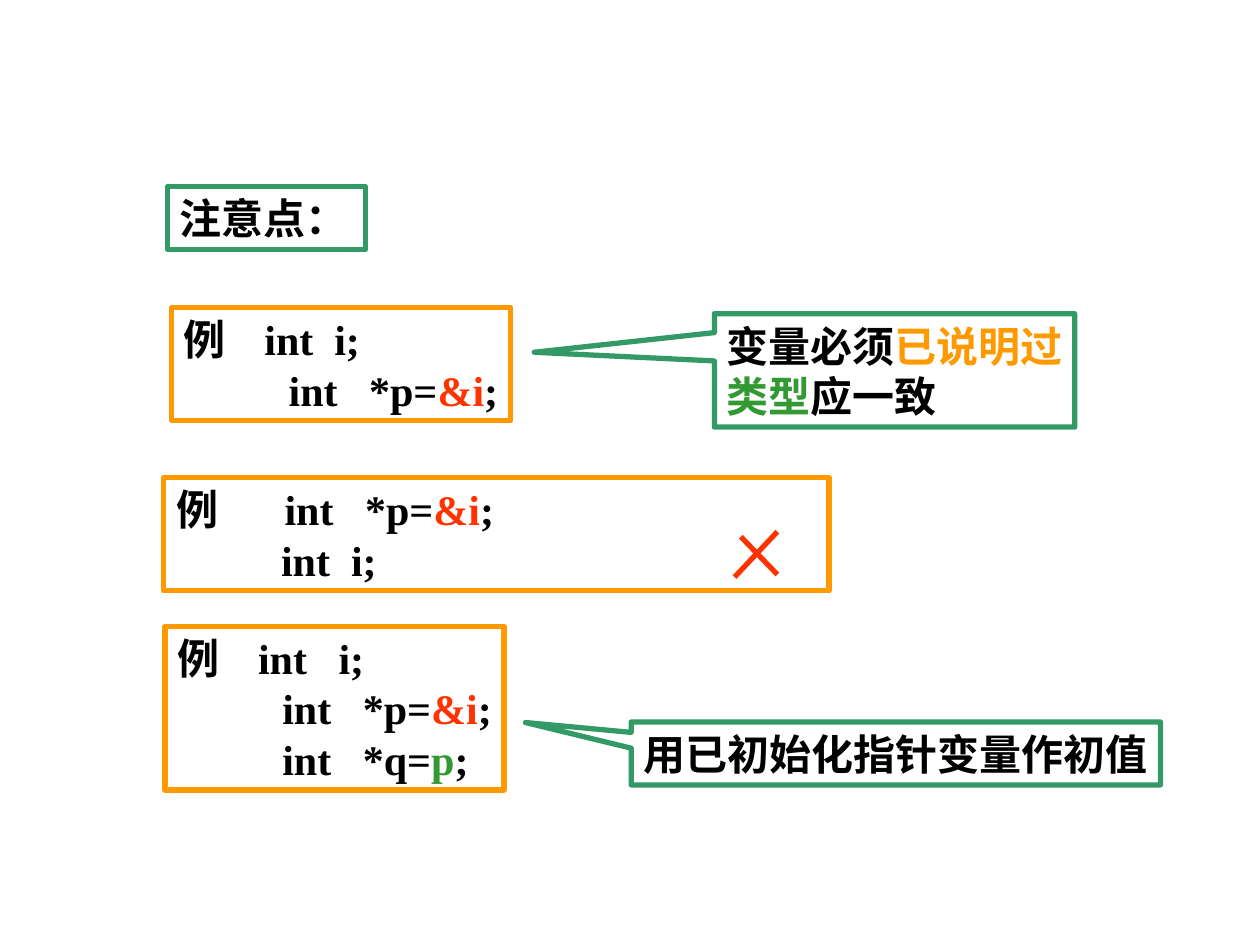
from lxml.etree import SubElement
from pptx import Presentation
from pptx.dml.color import RGBColor
from pptx.enum.shapes import MSO_CONNECTOR, MSO_SHAPE
from pptx.enum.text import MSO_ANCHOR, PP_ALIGN
from pptx.oxml.ns import qn
from pptx.util import Inches, Pt

BLACK, WHITE = "000000", "FFFFFF"
ORANGE, RED = "FF9900", "FF3300"
TEAL, GREEN = "339966", "339933"
LATIN, CHINESE = "Times New Roman", "Noto Sans CJK SC"

FRAME_FORMAT = {
    "word_wrap": True,
    "vertical_anchor": MSO_ANCHOR.MIDDLE,
    "margin_left": Inches(0.1),
    "margin_right": 0,
    "margin_top": Inches(0.05),
    "margin_bottom": Inches(0.05),
}
PARA_FORMAT = {"alignment": PP_ALIGN.LEFT, "line_spacing": Pt(28.8)}
FONT_FORMAT = {"name": LATIN, "size": Pt(24), "bold": True}

# Code lines, as (text, colour) spans
INDENT = " " * 10
ADDRESS = [("int   *p=", BLACK), ("&i", RED), (";", BLACK)]
LABEL = ("例\t", BLACK)


def apply_format(target, values):
    for name, value in values.items():
        setattr(target, name, value)


def color(hex_value):
    return RGBColor.from_string(hex_value)


def indented(spans):
    return [(INDENT, BLACK), *spans]


def add_tab(para, position):
    tabs = SubElement(para._p.get_or_add_pPr(), qn("a:tabLst"))
    SubElement(tabs, qn("a:tab"), pos=str(Inches(position)), algn="l")


def write_lines(box, lines, tab=None):
    frame = box.text_frame
    apply_format(frame, FRAME_FORMAT)
    for index, spans in enumerate(lines):
        para = frame.add_paragraph() if index else frame.paragraphs[0]
        if tab and index == 0:
            add_tab(para, tab)
        apply_format(para, PARA_FORMAT)
        for text, hex_value in spans:
            span = para.add_run()
            span.text = text
            apply_format(span.font, FONT_FORMAT)
            span.font.color.rgb = color(hex_value)
            SubElement(span.font._element, qn("a:ea"), typeface=CHINESE)


def add_box(shapes, kind, place, outline):
    box = shapes.add_shape(kind, *map(Inches, place))
    box.shadow.inherit = False
    box.line.color.rgb = color(outline)
    box.line.width = Pt(3)
    return box


def add_example(shapes, place, lines, tab):
    box = add_box(shapes, MSO_SHAPE.RECTANGLE, place, ORANGE)
    box.fill.background()
    write_lines(box, lines, tab)


def add_callout(shapes, place, tip, lines):
    box = add_box(shapes, MSO_SHAPE.RECTANGULAR_CALLOUT, place, TEAL)
    box.fill.solid()
    box.fill.fore_color.rgb = color(WHITE)
    for index, value in enumerate(tip):
        box.adjustments[index] = value
    write_lines(box, lines)


def add_stroke(shapes, start, end):
    stroke = shapes.add_connector(
        MSO_CONNECTOR.STRAIGHT, *map(Inches, start + end))
    stroke.line.color.rgb = color(RED)
    stroke.line.width = Pt(3)
    SubElement(stroke._element.spPr, qn("a:effectLst"))


def main():
    deck = Presentation()
    deck.slide_width, deck.slide_height = Inches(10), Inches(7.5)
    page = deck.slides.add_slide(deck.slide_layouts[6])
    shapes = page.shapes

    # Valid declaration and its rule
    add_example(shapes, (1.36, 2.44, 2.69, 0.9),
                [[LABEL, ("int  i;", BLACK)], indented(ADDRESS)], 0.64)
    add_callout(shapes, (5.67, 2.49, 2.86, 0.9), (-1, -0.16),
                [[("变量必须", BLACK), ("已说明过", ORANGE)],
                 [("类型", GREEN), ("应一致", BLACK)]])

    # Initialising from another pointer
    add_example(shapes, (1.31, 4.97, 2.69, 1.3),
                [[LABEL, ("int   i;", BLACK)],
                 indented(ADDRESS),
                 indented([("int   *q=", BLACK), ("p", GREEN), (";", BLACK)])],
                0.64)

    # Heading
    add_callout(shapes, (1.33, 1.48, 1.57, 0.5), (-0.5, -0.3),
                [[("注意点：", BLACK)]])

    # Wrong order, marked with a cross
    wrong = shapes.add_group_shape().shapes
    add_example(wrong, (1.3, 3.79, 5.28, 0.9),
                [[LABEL, *ADDRESS], indented([("int  i;", BLACK)])], 0.86)
    add_stroke(wrong, (6.17, 4.22), (5.83, 4.58))
    add_stroke(wrong, (5.88, 4.26), (6.17, 4.56))

    # Note on the pointer example
    add_callout(shapes, (5.01, 5.73, 4.2, 0.5), (-0.7, -0.49),
                [[("用已初始化指针变量作初值", BLACK)]])

    deck.save("out.pptx")


if __name__ == "__main__":
    main()
